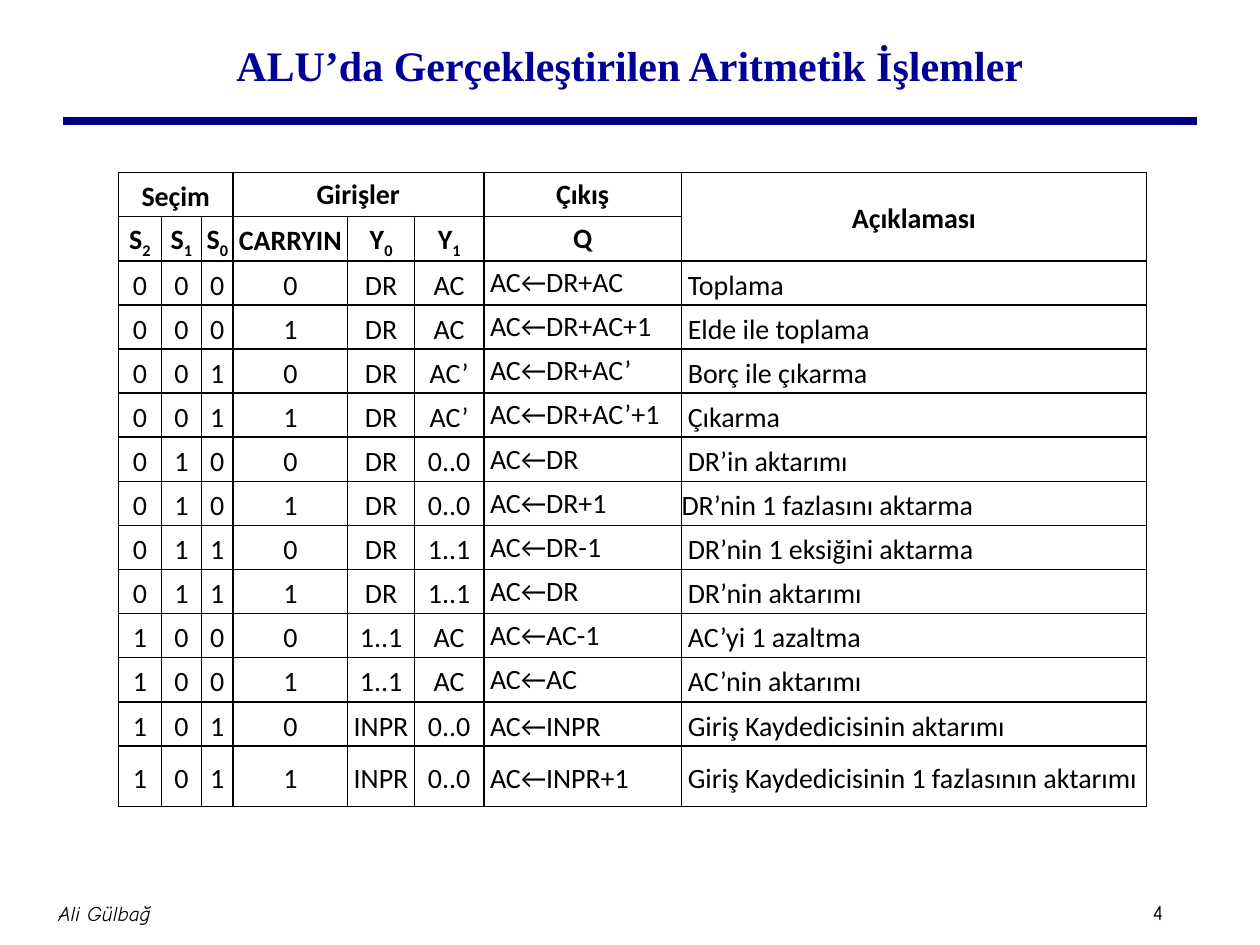
from lxml import etree
from pptx import Presentation
from pptx.dml.color import RGBColor
from pptx.enum.shapes import MSO_CONNECTOR
from pptx.enum.text import MSO_ANCHOR, PP_ALIGN
from pptx.oxml.ns import qn
from pptx.util import Inches, Pt

LEFT, CENTER = PP_ALIGN.LEFT, PP_ALIGN.CENTER
TOP, MIDDLE = MSO_ANCHOR.TOP, MSO_ANCHOR.MIDDLE
STRAIGHT = MSO_CONNECTOR.STRAIGHT
BLACK = RGBColor(0x00, 0x00, 0x00)
NAVY = RGBColor(0x00, 0x00, 0x80)
TITLE_BLUE = RGBColor(0x00, 0x00, 0x99)

COLUMN_WIDTHS = [0.34, 0.32, 0.25, 0.91, 0.53, 0.55, 1.57, 3.69]
ROW_HEIGHTS = [0.35] * 13 + [0.48]
OUTPUT_COLUMN, NOTE_COLUMN = 6, 7
HEADER_ROWS = 2
ROWS = [
    ["Seçim", "", "", "Girişler", "", "", "Çıkış", "Açıklaması"],
    ["S_2", "S_1", "S_0", "CARRYIN", "Y_0", "Y_1", "Q", ""],
    ["0", "0", "0", "0", "DR", "AC", "AC←DR+AC", "Toplama"],
    ["0", "0", "0", "1", "DR", "AC", "AC←DR+AC+1", "Elde ile toplama"],
    ["0", "0", "1", "0", "DR", "AC’", "AC←DR+AC’", "Borç ile çıkarma"],
    ["0", "0", "1", "1", "DR", "AC’", "AC←DR+AC’+1", "Çıkarma"],
    ["0", "1", "0", "0", "DR", "0..0", "AC←DR", "DR’in aktarımı"],
    ["0", "1", "0", "1", "DR", "0..0", "AC←DR+1", "DR’nin 1 fazlasını aktarma"],
    ["0", "1", "1", "0", "DR", "1..1", "AC←DR-1", "DR’nin 1 eksiğini aktarma"],
    ["0", "1", "1", "1", "DR", "1..1", "AC←DR", "DR’nin aktarımı"],
    ["1", "0", "0", "0", "1..1", "AC", "AC←AC-1", "AC’yi 1 azaltma"],
    ["1", "0", "0", "1", "1..1", "AC", "AC←AC", "AC’nin aktarımı"],
    ["1", "0", "1", "0", "INPR", "0..0", "AC←INPR", "Giriş Kaydedicisinin aktarımı"],
    ["1", "0", "1", "1", "INPR", "0..0", "AC←INPR+1",
     "Giriş Kaydedicisinin 1 fazlasının aktarımı"],
]
UNINDENTED_CELL = (7, NOTE_COLUMN)
TOP_CELLS = {(0, 3)} | {(row, OUTPUT_COLUMN) for row in range(12)}


def add_text(page, text, left, top, width, height, size, font_name, color, align):
    box = page.shapes.add_textbox(Inches(left), Inches(top), Inches(width), Inches(height))
    frame = box.text_frame
    frame.word_wrap = True
    frame.vertical_anchor = MIDDLE
    frame.margin_left = frame.margin_right = Inches(0.05)
    frame.margin_top = frame.margin_bottom = Inches(0.05)
    para = frame.paragraphs[0]
    para.text = text
    para.alignment = align
    para.font.size = Pt(size)
    para.font.name = font_name
    para.font.color.rgb = color
    return para


def add_borders(cell):
    properties = cell._tc.get_or_add_tcPr()
    for position, side in enumerate(("a:lnL", "a:lnR", "a:lnT", "a:lnB")):
        border = etree.Element(qn(side), w=str(Pt(1)))
        fill = etree.SubElement(border, qn("a:solidFill"))
        etree.SubElement(fill, qn("a:srgbClr"), val=str(BLACK))
        properties.insert(position, border)


deck = Presentation()
deck.slide_width, deck.slide_height = Inches(10), Inches(7.5)
page = deck.slides.add_slide(deck.slide_layouts[6])

rule = page.shapes.add_connector(STRAIGHT, Inches(0.5), Inches(0.96), Inches(9.5), Inches(0.96))
rule.line.color.rgb = NAVY
rule.line.width = Pt(4.5)
etree.SubElement(rule._element.spPr, qn("a:effectLst"))

add_text(page, "4", 9.1, 7.09, 0.47, 0.3, 12, "Comic Neue", BLACK, LEFT)
author = add_text(page, "Ali Gülbağ", -0.96, 7, 3.58, 0.5, 12, "Comic Neue", BLACK, CENTER)
author.font.italic = True
title = add_text(page, "ALU’da Gerçekleştirilen Aritmetik İşlemler",
                 0.75, 0.08, 8.5, 0.86, 24, "Times New Roman", TITLE_BLUE, CENTER)
title.font.bold = True

table = page.shapes.add_table(
    len(ROWS), len(COLUMN_WIDTHS), Inches(0.94), Inches(1.37),
    Inches(sum(COLUMN_WIDTHS)), Inches(sum(ROW_HEIGHTS))).table
table.first_row = table.horz_banding = False
for column, width in zip(table.columns, COLUMN_WIDTHS):
    column.width = Inches(width)
for row, height in zip(table.rows, ROW_HEIGHTS):
    row.height = Inches(height)

for row_index, values in enumerate(ROWS):
    for column_index, value in enumerate(values):
        cell = table.cell(row_index, column_index)
        is_header = row_index < HEADER_ROWS
        is_left = not is_header and column_index >= OUTPUT_COLUMN
        place = (row_index, column_index)
        cell.fill.background()
        add_borders(cell)
        cell.margin_right = cell.margin_top = cell.margin_bottom = 0
        cell.margin_left = Inches(0.05 if is_left and place != UNINDENTED_CELL else 0)
        cell.vertical_anchor = TOP if place in TOP_CELLS else MIDDLE
        para = cell.text_frame.paragraphs[0]
        para.alignment = LEFT if is_left else CENTER
        para.line_spacing = 1.15
        para.font.size = Pt(16)
        para.font.name = "Calibri"
        para.font.bold = is_header
        para.font.color.rgb = BLACK
        base, _, subscript = value.partition("_")
        if base:
            para.add_run().text = base
        if subscript:
            span = para.add_run()
            span.text = subscript
            span.font._element.set("baseline", "-25000")

table.cell(0, 0).merge(table.cell(0, 2))
table.cell(0, 3).merge(table.cell(0, 5))
table.cell(0, NOTE_COLUMN).merge(table.cell(1, NOTE_COLUMN))

deck.save("out.pptx")
